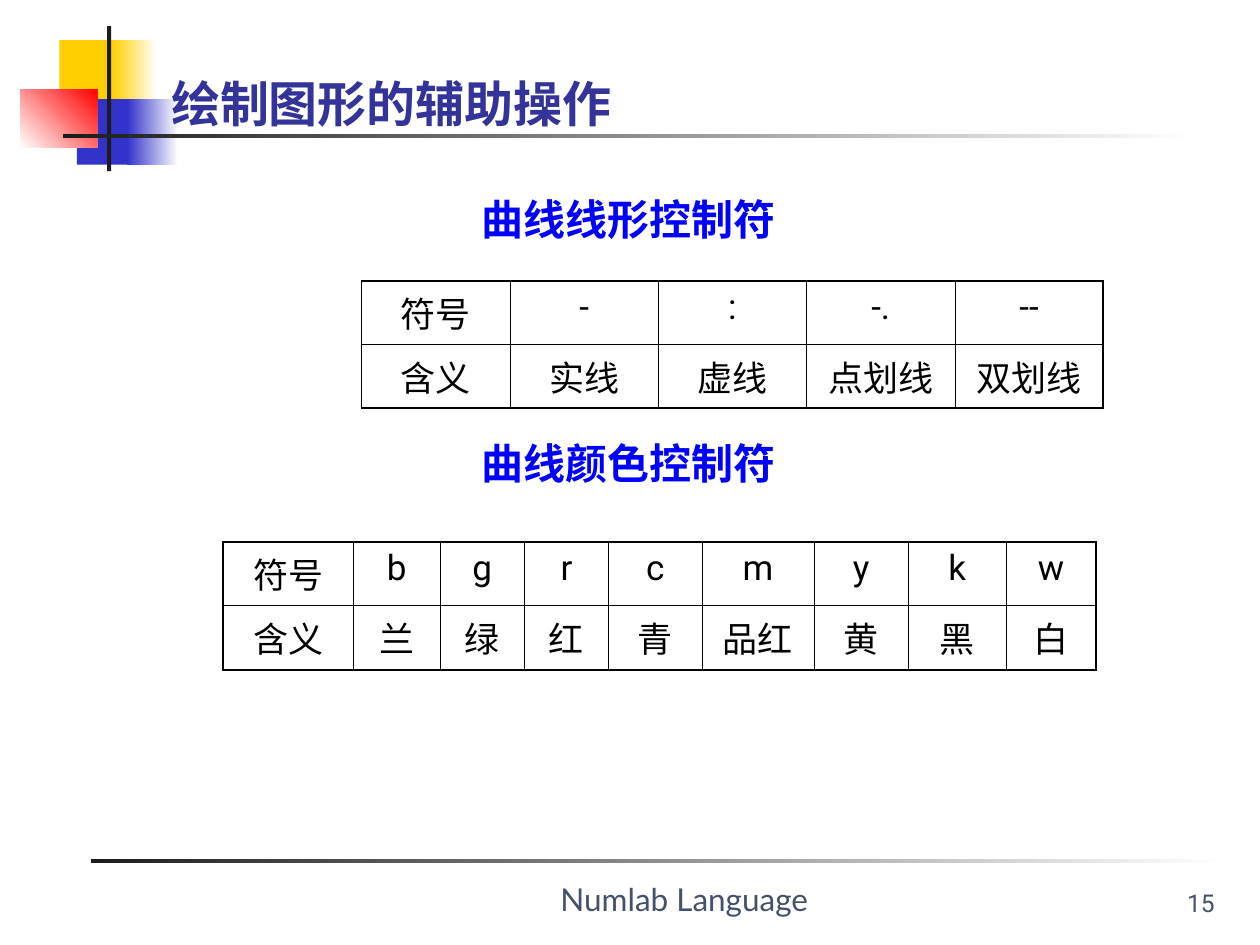
import lxml.etree
import pptx
import pptx.dml.color
import pptx.enum.shapes
import pptx.enum.text
import pptx.oxml.ns
import pptx.util

Cm = pptx.util.Cm
Pt = pptx.util.Pt
RGBColor = pptx.dml.color.RGBColor
ALIGN = pptx.enum.text.PP_ALIGN
ANCHOR = pptx.enum.text.MSO_ANCHOR

YELLOW = RGBColor(0xFF, 0xCF, 0x01)
BLUE = RGBColor(0x33, 0x33, 0xCC)
RED = RGBColor(0xFF, 0x00, 0x00)
CHARCOAL = RGBColor(0x1C, 0x1C, 0x1C)
WHITE = RGBColor(0xFF, 0xFF, 0xFF)
BLACK = RGBColor(0x00, 0x00, 0x00)
TITLE_BLUE = RGBColor(0x33, 0x33, 0x99)
HEADING_BLUE = RGBColor(0x00, 0x00, 0xFF)
SLATE = RGBColor(0x45, 0x51, 0x6B)

LATIN_FONT = "Roboto"
CHINESE_FONT = "Noto Sans CJK SC"
FOOTER_FONT = "Lato"
THIN, THICK = 0.45, 1.08

LINE_STYLES = [
    ["符号", "-", ":", "-.", "--"],
    ["含义", "实线", "虚线", "点划线", "双划线"],
]
LINE_COLOURS = [
    ["符号", "b", "g", "r", "c", "m", "y", "k", "w"],
    ["含义", "兰", "绿", "红", "青", "品红", "黄", "黑", "白"],
]


def add_block(slide, left, top, width, height, colour, end=None, angle=0):
    """Add a plain rectangle, or one fading from colour to end."""
    shape = slide.shapes.add_shape(
        pptx.enum.shapes.MSO_SHAPE.RECTANGLE, Cm(left), Cm(top), Cm(width), Cm(height))
    shape.shadow.inherit = False
    shape.line.fill.background()
    if end is None:
        shape.fill.solid()
        shape.fill.fore_color.rgb = colour
    else:
        shape.fill.gradient()
        shape.fill.gradient_angle = angle
        for stop, stop_colour in zip(shape.fill.gradient_stops, (colour, end)):
            stop.color.rgb = stop_colour


def style_paragraph(paragraph, align, size, colour, font=LATIN_FONT, bold=False):
    """Set the alignment of a paragraph and the look of its runs."""
    paragraph.alignment = align
    for run in paragraph.runs:
        run.font.size = Pt(size)
        run.font.bold = bold
        run.font.color.rgb = colour
        run.font.name = font
        east_asian = lxml.etree.SubElement(
            run.font._element, pptx.oxml.ns.qn("a:ea"))
        east_asian.set("typeface", CHINESE_FONT)


def add_text(slide, left, top, width, height, text, anchor, **style):
    """Add a one-paragraph text box."""
    text_frame = slide.shapes.add_textbox(
        Cm(left), Cm(top), Cm(width), Cm(height)).text_frame
    text_frame.word_wrap = True
    text_frame.vertical_anchor = anchor
    text_frame.text = text
    style_paragraph(text_frame.paragraphs[0], **style)


def add_ornament(slide, left, top):
    """Add the coloured squares, the upright bar and the title rule."""
    add_block(slide, left + 0.79, top + 0.28, 1.22, 1.32, YELLOW)
    add_block(slide, left + 1.85, top + 0.28, 0.91, 1.32, YELLOW, WHITE)
    add_block(slide, left + 1.14, top + 1.47, 1.17, 1.32, BLUE)
    add_block(slide, left + 2.16, top + 1.47, 1.02, 1.32, BLUE, WHITE)
    add_block(slide, left, top + 1.27, 1.55, 1.17, WHITE, RED, 45)
    add_block(slide, left + 1.75, top, 0.08, 2.92, CHARCOAL)
    add_block(slide, left + 0.86, top + 2.18, 22.86, 0.08, CHARCOAL, WHITE)


def add_heading(slide, left, top, width, text):
    """Add a centred blue heading above a table."""
    add_text(slide, left, top, width, 1.2, text, ANCHOR.TOP, align=ALIGN.CENTER,
             size=24, colour=HEADING_BLUE, font=CHINESE_FONT, bold=True)


def set_border(cell, side, width):
    """Give one side of a cell a black line."""
    line = lxml.etree.SubElement(
        cell._tc.get_or_add_tcPr(), pptx.oxml.ns.qn("a:ln" + side))
    line.set("w", str(int(Pt(width))))
    fill = lxml.etree.SubElement(line, pptx.oxml.ns.qn("a:solidFill"))
    colour = lxml.etree.SubElement(fill, pptx.oxml.ns.qn("a:srgbClr"))
    colour.set("val", str(BLACK))


def add_symbol_table(slide, left, top, column_widths, row_height, rows):
    """Add a table with thick outer and thin inner lines."""
    last_row, last_column = len(rows) - 1, len(column_widths) - 1
    table = slide.shapes.add_table(
        len(rows), len(column_widths), Cm(left), Cm(top),
        Cm(sum(column_widths)), Cm(row_height * len(rows))).table
    table.first_row = False
    table.horz_banding = False
    for column, width in zip(table.columns, column_widths):
        column.width = Cm(width)
    for row_index, texts in enumerate(rows):
        table.rows[row_index].height = Cm(row_height)
        for column_index, text in enumerate(texts):
            cell = table.cell(row_index, column_index)
            cell.text_frame.text = text
            style_paragraph(cell.text_frame.paragraphs[0], ALIGN.CENTER, 20, BLACK)
            outer_sides = {
                "L": column_index == 0,
                "R": column_index == last_column,
                "T": row_index == 0,
                "B": row_index == last_row,
            }
            for side, is_outer in outer_sides.items():
                set_border(cell, side, THICK if is_outer else THIN)
            cell.fill.background()


def add_footer(slide, left, top):
    """Add the footer rule, the course name and the slide number."""
    add_block(slide, left, top, 22.86, 0.08, CHARCOAL, WHITE)
    add_text(slide, left + 7.47, top + 0.03, 8.99, 1.27, "Numlab Language",
             ANCHOR.BOTTOM, align=ALIGN.CENTER, size=18, colour=SLATE, font=FOOTER_FONT)
    add_text(slide, left + 17.27, top + 0.03, 5.64, 1.27, "15",
             ANCHOR.BOTTOM, align=ALIGN.RIGHT, size=14, colour=SLATE)


def main():
    """Build the slide and save it."""
    presentation = pptx.Presentation()
    presentation.slide_width = Cm(25.4)
    presentation.slide_height = Cm(19.05)
    slide = presentation.slides.add_slide(presentation.slide_layouts[6])
    add_ornament(slide, 0.41, 0.53)
    add_footer(slide, 1.83, 17.32)
    add_text(slide, 3.2, 0.99, 21.64, 1.8, "绘制图形的辅助操作", ANCHOR.BOTTOM,
             align=ALIGN.LEFT, size=28, colour=TITLE_BLUE, bold=True)
    add_heading(slide, 1.27, 3.78, 22.81, "曲线线形控制符")
    add_symbol_table(slide, 7.29, 5.66, [2.99] * 5, 1.28, LINE_STYLES)
    add_heading(slide, 1.27, 8.7, 22.81, "曲线颜色控制符")
    add_symbol_table(slide, 4.5, 10.92, [2.62, 1.75, 1.7, 1.7, 1.88, 2.26, 1.9, 1.98, 1.8],
                     1.29, LINE_COLOURS)
    presentation.save("out.pptx")


if __name__ == "__main__":
    main()
